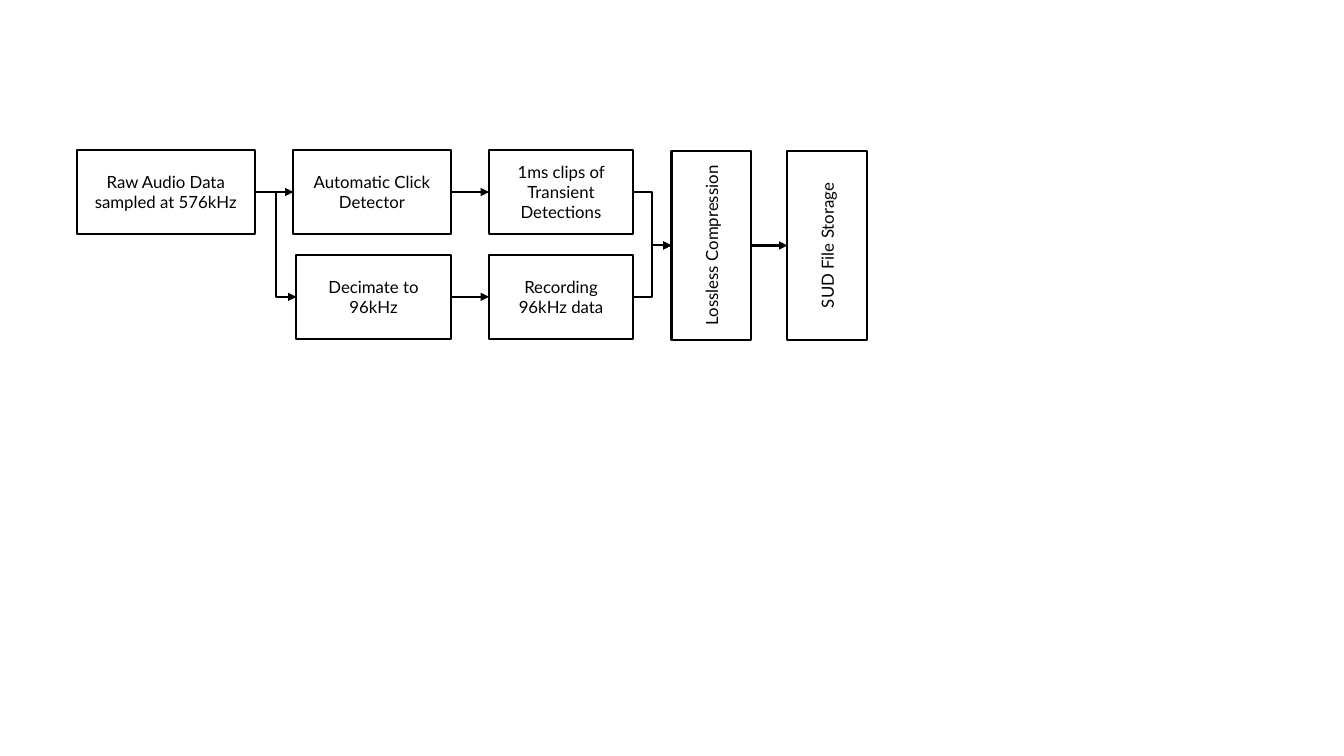
from lxml import etree
from pptx import Presentation
from pptx.dml.color import RGBColor
from pptx.enum.shapes import MSO_CONNECTOR, MSO_SHAPE
from pptx.enum.text import MSO_ANCHOR, PP_ALIGN
from pptx.oxml.ns import qn
from pptx.util import Inches, Pt

RECTANGLE = MSO_SHAPE.RECTANGLE
ELBOW = MSO_CONNECTOR.ELBOW
CENTER = PP_ALIGN.CENTER
MIDDLE = MSO_ANCHOR.MIDDLE
LEFT_SIDE, RIGHT_SIDE = 1, 3

FONT = "Lato"
BLACK, WHITE = "000000", "FFFFFF"

# Grid of the flow, in inches from its top left corner: (offset, size)
FLOW_LEFT, FLOW_TOP = 0.76, 1.49
COLUMNS = {
    "source": (0, 1.77),
    "detector": (2.15, 1.56),
    "decimator": (2.18, 1.53),
    "output": (4.09, 1.43),
    "compression": (5.9, 0.79),
    "storage": (7.05, 0.79),
}
ROWS = {"clicks": (0, 0.83), "recording": (1.04, 0.83), "both": (0.01, 1.87)}

# Stage: column, row, label
STAGES = {
    "raw": ("source", "clicks", "Raw Audio Data sampled at 576kHz"),
    "detect": ("detector", "clicks", "Automatic Click Detector"),
    "clips": ("output", "clicks", "1ms clips of Transient Detections"),
    "decimate": ("decimator", "recording", "Decimate to 96kHz"),
    "record": ("output", "recording", "Recording 96kHz data"),
    "compress": ("compression", "both", "Lossless Compression"),
    "store": ("storage", "both", "SUD File Storage"),
}
FLOWS = [
    ("raw", "detect"), ("detect", "clips"),
    ("raw", "decimate"), ("decimate", "record"),
    ("clips", "compress"), ("record", "compress"),
    ("compress", "store"),
]


def color(hex_string):
    return RGBColor.from_string(hex_string)


def outline(line):
    line.color.rgb = color(BLACK)
    line.width = Pt(1.5)


def add_stage(slide, box, label, upright):
    stage = slide.shapes.add_shape(RECTANGLE, *map(Inches, box))
    stage.shadow.inherit = False
    stage.fill.solid()
    stage.fill.fore_color.rgb = color(WHITE)
    outline(stage.line)

    frame = stage.text_frame
    frame.word_wrap = True
    frame.vertical_anchor = MIDDLE
    if upright:
        frame._txBody.bodyPr.set("vert", "vert270")
    paragraph = frame.paragraphs[0]
    paragraph.alignment = CENTER
    run = paragraph.add_run()
    run.text = label
    run.font.name = FONT
    run.font.size = Pt(12)
    run.font.color.rgb = color(BLACK)
    return stage


def add_arrow(slide, start, end):
    arrow = slide.shapes.add_connector(ELBOW, 0, 0, 0, 0)
    arrow.begin_connect(start, RIGHT_SIDE)
    arrow.end_connect(end, LEFT_SIDE)
    outline(arrow.line)
    etree.SubElement(arrow.line._get_or_add_ln(), qn("a:tailEnd"), type="triangle")
    etree.SubElement(arrow._element.spPr, qn("a:effectLst"))


def add_signal_flow(slide, left, top):
    # Processing stages
    stages = {}
    for key, (column, row, label) in STAGES.items():
        x, width = COLUMNS[column]
        y, height = ROWS[row]
        box = (left + x, top + y, width, height)
        stages[key] = add_stage(slide, box, label, upright=row == "both")

    # Arrows between the stages
    for start, end in FLOWS:
        add_arrow(slide, stages[start], stages[end])


def main():
    deck = Presentation()
    deck.slide_width, deck.slide_height = Inches(13.33), Inches(7.5)
    slide = deck.slides.add_slide(deck.slide_layouts[6])
    add_signal_flow(slide, FLOW_LEFT, FLOW_TOP)
    deck.save("out.pptx")


if __name__ == "__main__":
    main()
